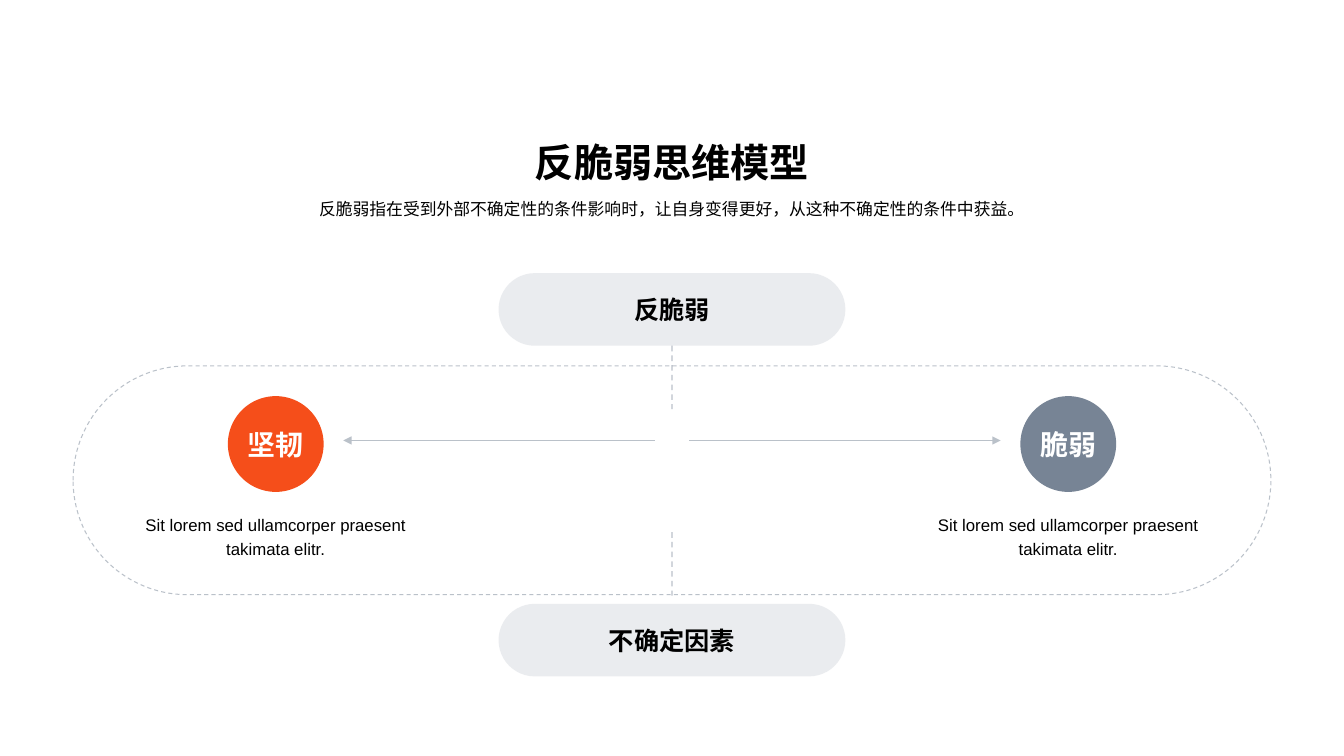
"""Build the antifragile thinking model slide."""
from lxml.etree import SubElement
from pptx import Presentation
from pptx.dml.color import RGBColor
from pptx.enum.dml import MSO_LINE
from pptx.enum.shapes import MSO_CONNECTOR, MSO_SHAPE
from pptx.enum.text import MSO_ANCHOR, PP_ALIGN
from pptx.oxml.ns import qn
from pptx.util import Inches, Pt

BLACK = RGBColor(0x00, 0x00, 0x00)
WHITE = RGBColor(0xFF, 0xFF, 0xFF)
ORANGE = RGBColor(0xF5, 0x4E, 0x1A)
SLATE = RGBColor(0x77, 0x84, 0x95)
FONT = "Arial"

TITLE = "反脆弱思维模型"
SUBTITLE = "反脆弱指在受到外部不确定性的条件影响时，让自身变得更好，从这种不确定性的条件中获益。"
BODY = "Sit lorem sed ullamcorper praesent takimata elitr."
PILLS = [("反脆弱", 2.71, 3.43), ("不确定因素", 5.99, 5.28)]
SIDES = [("坚韧", ORANGE, -1), ("脆弱", SLATE, 1)]

W, H = 13.33, 7.5
CX = W / 2
BAND_W, PILL_W, PILL_H = 11.88, 3.44, 0.72
STEM, DISC, SIDE_DX = 0.63, 0.95, 3.93
ARROW_Y, ARROW_START, ARROW_END = 4.37, 0.17, 3.26

prs = Presentation()
prs.slide_width, prs.slide_height = Inches(W), Inches(H)
shapes = prs.slides.add_slide(prs.slide_layouts[6]).shapes


def box(cx, top, w, h):
    return [Inches(v) for v in (cx - w / 2, top, w, h)]


def set_alpha(sp, percent):
    for clr in sp._element.spPr.iter(qn("a:srgbClr")):
        SubElement(clr, qn("a:alpha")).set("val", str(percent * 1000))


def write(sp, text, size, color=BLACK, bold=False, anchor=MSO_ANCHOR.MIDDLE,
          spacing=None, wrap=True):
    tf = sp.text_frame
    tf.word_wrap, tf.vertical_anchor = wrap, anchor
    p = tf.paragraphs[0]
    p.alignment = PP_ALIGN.CENTER
    if spacing:
        p.line_spacing = spacing
    r = p.add_run()
    r.text = text
    r.font.name, r.font.size, r.font.bold = FONT, Pt(size), bold
    r.font.color.rgb = color


def add_text(cx, top, w, h, text, size, **style):
    style.setdefault("anchor", MSO_ANCHOR.TOP)
    write(shapes.add_textbox(*box(cx, top, w, h)), text, size, **style)


def add_shape(kind, cx, top, w, h, fill=None):
    sp = shapes.add_shape(kind, *box(cx, top, w, h))
    sp.shadow.inherit = False
    if kind == MSO_SHAPE.ROUNDED_RECTANGLE:
        sp.adjustments[0] = 0.5
    if fill is None:
        sp.fill.background()
    else:
        sp.fill.solid()
        sp.fill.fore_color.rgb = fill
        sp.line.fill.background()
    return sp


def style_line(sp, width, dashed=True):
    sp.line.color.rgb = SLATE
    sp.line.width = Pt(width)
    if dashed:
        sp.line.dash_style = MSO_LINE.DASH
    set_alpha(sp, 50)


def add_line(x1, y1, x2, y2, width, arrow=False):
    ln = shapes.add_connector(MSO_CONNECTOR.STRAIGHT,
                              *[Inches(v) for v in (x1, y1, x2, y2)])
    style_line(ln, width, dashed=not arrow)
    if arrow:
        SubElement(ln.line._get_or_add_ln(), qn("a:tailEnd")).set("type", "triangle")
    SubElement(ln._element.spPr, qn("a:effectLst"))


add_text(CX, 1.24, BAND_W, 0.65, TITLE, 28, bold=True, anchor=MSO_ANCHOR.BOTTOM)
add_text(CX, 1.92, BAND_W, 0.45, SUBTITLE, 12)
style_line(add_shape(MSO_SHAPE.ROUNDED_RECTANGLE, CX, 3.63, BAND_W, 2.27), 0.75)

for label, top, stem_top in PILLS:
    pill = add_shape(MSO_SHAPE.ROUNDED_RECTANGLE, CX, top, PILL_W, PILL_H, SLATE)
    set_alpha(pill, 15)
    write(pill, label, 18, bold=True)
    add_line(CX, stem_top, CX, stem_top + STEM, 1)

for label, color, side in SIDES:
    cx = CX + side * SIDE_DX
    disc = add_shape(MSO_SHAPE.OVAL, cx, 3.93, DISC, DISC, color)
    write(disc, label, 20, WHITE, bold=True, wrap=False)
    add_text(cx, 5.02, PILL_W, 0.68, BODY, 12, spacing=1.2)
    add_line(CX + side * ARROW_START, ARROW_Y,
             CX + side * ARROW_END, ARROW_Y, 0.5, arrow=True)

prs.save("out.pptx")
